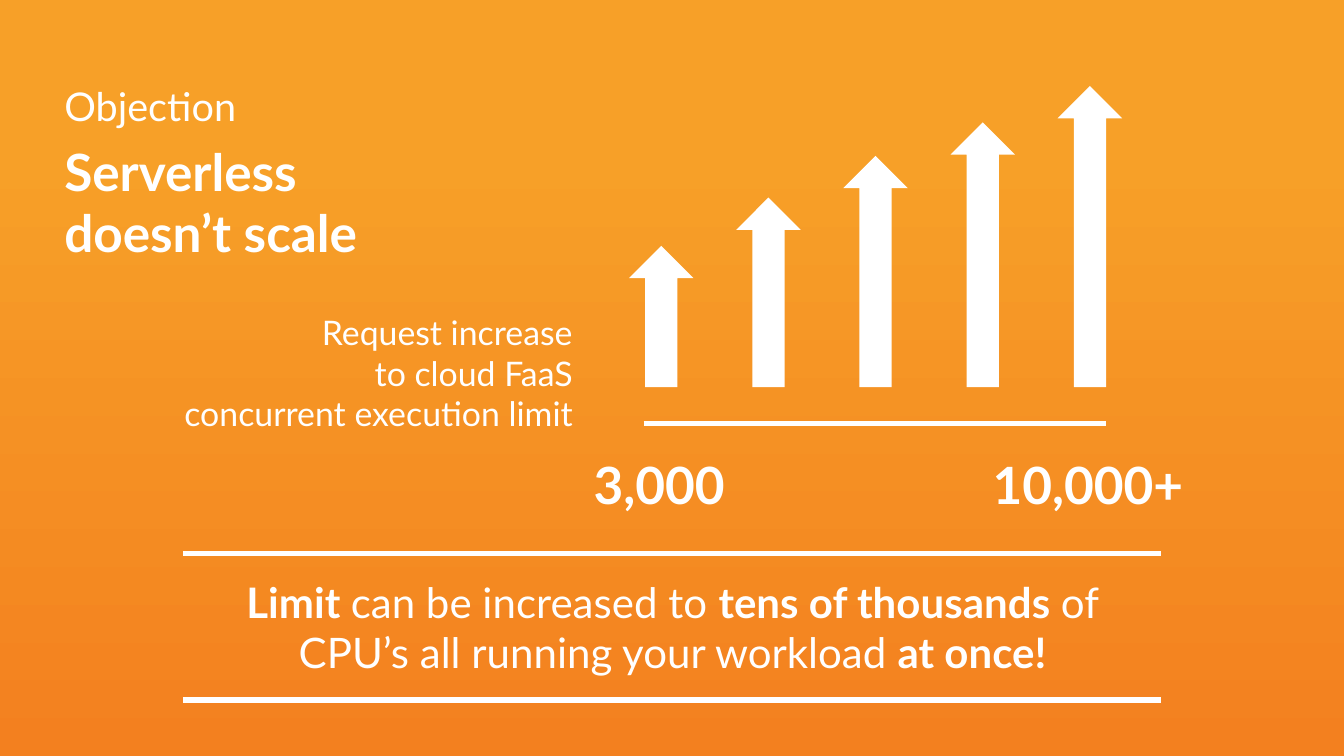
import pptx
import pptx.util
import pptx.dml.color
import pptx.enum.shapes
import pptx.enum.text
import pptx.oxml

Inches = pptx.util.Inches
Align = pptx.enum.text.PP_ALIGN

WHITE = pptx.dml.color.RGBColor(0xFF, 0xFF, 0xFF)
AMBER = pptx.dml.color.RGBColor(0xF7, 0xA0, 0x28)
ORANGE = pptx.dml.color.RGBColor(0xF3, 0x80, 0x1F)
EFFECT_LIST = ('<a:effectLst xmlns:a='
               '"http://schemas.openxmlformats.org/drawingml/2006/main"/>')


def paint_background(page):
    fill = page.background.fill
    fill.gradient()
    fill.gradient_angle = 270
    for stop, position, color in zip(fill.gradient_stops, (0.2, 1), (AMBER, ORANGE)):
        stop.position = position
        stop.color.rgb = color


def add_text(page, left, top, width, height, lines, size, align=Align.LEFT):
    """Each line is a list of (text, bold) spans."""
    box = page.shapes.add_textbox(Inches(left), Inches(top), Inches(width), Inches(height))
    box.text_frame.word_wrap = True
    para = box.text_frame.paragraphs[0]
    para.alignment = align
    for number, line in enumerate(lines):
        if number:
            para.add_line_break()
        for text, bold in line:
            span = para.add_run()
            span.text = text
            span.font.color.rgb = WHITE
            looks = {"name": "Lato", "size": pptx.util.Pt(size), "bold": bold}
            for name, value in looks.items():
                setattr(span.font, name, value)


def add_arrow(group, center, bottom, length, thickness=0.48):
    """A right arrow turned to point up, standing on bottom."""
    middle = bottom - length / 2
    arrow = group.shapes.add_shape(
        pptx.enum.shapes.MSO_SHAPE.RIGHT_ARROW,
        Inches(center - length / 2), Inches(middle - thickness / 2),
        Inches(length), Inches(thickness))
    arrow.rotation = 270
    arrow.shadow.inherit = False
    arrow.fill.solid()
    arrow.fill.fore_color.rgb = WHITE
    arrow.line.fill.background()


def add_rule(page, left, right, top):
    rule = page.shapes.add_connector(
        pptx.enum.shapes.MSO_CONNECTOR.STRAIGHT,
        Inches(left), Inches(top), Inches(right), Inches(top))
    rule.line.color.rgb = WHITE
    rule.line.width = pptx.util.Pt(3)
    rule._element.spPr.append(pptx.oxml.parse_xml(EFFECT_LIST))


def main():
    deck = pptx.Presentation()
    deck.slide_width = Inches(10)
    deck.slide_height = Inches(10 * 9 / 16)
    page = deck.slides.add_slide(deck.slide_layouts[6])
    paint_background(page)

    # Heading
    add_text(page, 0.38, 0.99, 4.62, 0.68,
             [[("Serverless", True)], [("doesn’t scale", True)]], 27.5)
    add_text(page, 0.38, 0.56, 4.62, 0.51, [[("Objection", False)]], 21.2)

    # Growing arrows above their base line
    add_text(page, 1.22, 2.27, 3.14, 0.92,
             [[("Request increase", False)], [("to cloud FaaS", False)],
              [("concurrent execution limit ", False)]], 18.1, Align.RIGHT)
    group = page.shapes.add_group_shape()
    first, last = 4.92, 8.11
    lengths = (1.05, 1.41, 1.72, 1.97, 2.24)
    step = (last - first) / (len(lengths) - 1)
    for index, length in enumerate(lengths):
        add_arrow(group, first + index * step, 2.88, length)
    add_rule(page, 4.79, 8.23, 3.15)
    for left, limit in ((4.09, "3,000"), (7.28, "10,000+")):
        add_text(page, left, 3.32, 1.63, 0.65, [[(limit, True)]], 27.5, Align.CENTER)

    # Conclusion between two rules
    add_text(page, 0.38, 4.24, 9.25, 0.84,
             [[("Limit ", True), ("can be increased to ", False),
               ("tens of thousands ", True), ("of", False)],
              [("CPU’s all running your workload", False), (" at once!", True)]],
             22.5, Align.CENTER)
    for top in (4.12, 5.21):
        add_rule(page, 1.36, 8.64, top)

    deck.save("out.pptx")


if __name__ == "__main__":
    main()
